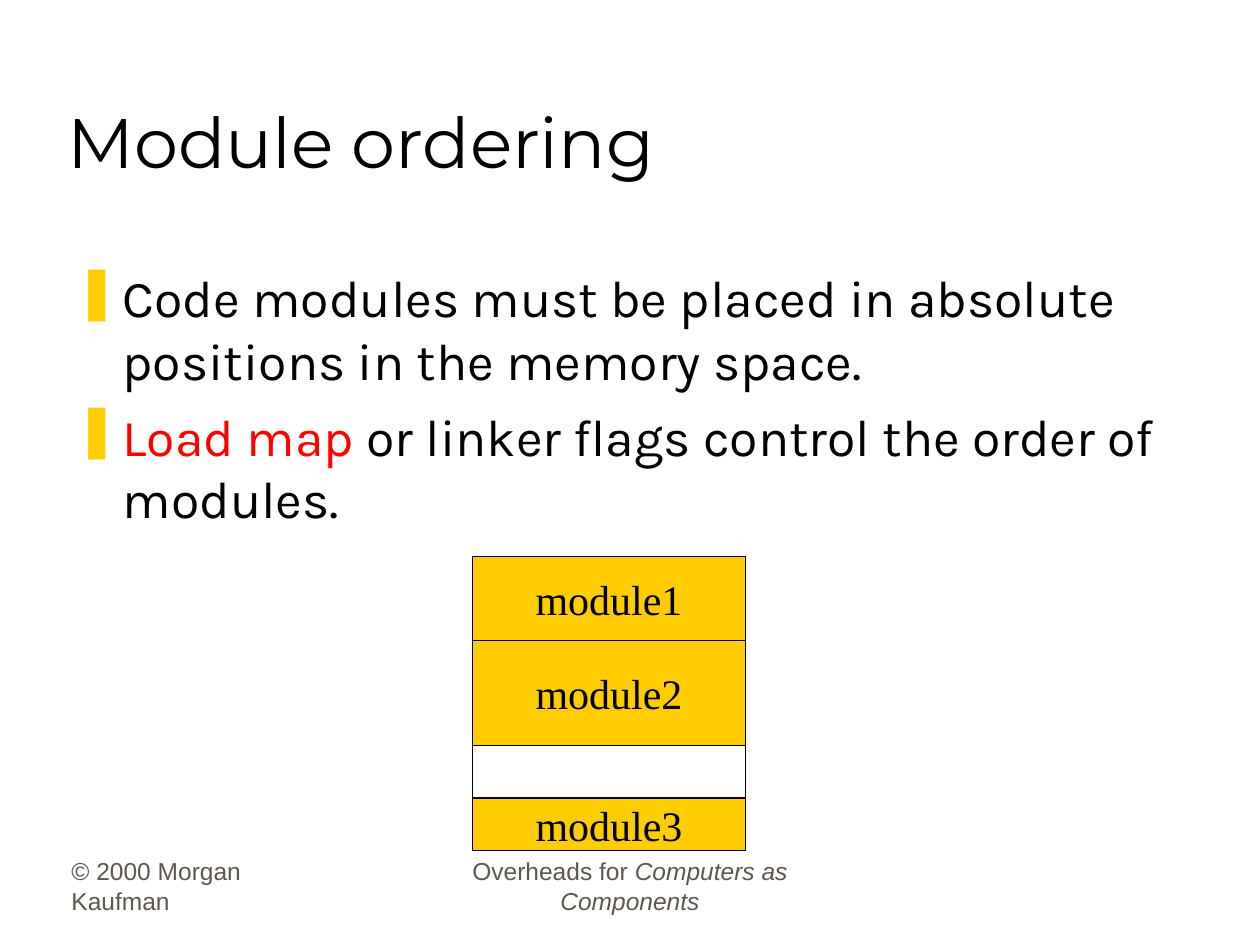
from lxml import etree
from pptx import Presentation
from pptx.dml.color import RGBColor
from pptx.enum.shapes import MSO_SHAPE
from pptx.enum.text import MSO_ANCHOR, PP_ALIGN
from pptx.oxml.ns import qn
from pptx.util import Emu, Pt

RECTANGLE = MSO_SHAPE.RECTANGLE
TOP, MIDDLE, BOTTOM = MSO_ANCHOR.TOP, MSO_ANCHOR.MIDDLE, MSO_ANCHOR.BOTTOM
LEFT, CENTER = PP_ALIGN.LEFT, PP_ALIGN.CENTER

PX = 9525
PAGE_SIZE = (960, 720)
COLORS = {"ink": "000000", "gold": "FFCC00", "red": "FF0000", "footer": "5E574E"}

TITLE = [[("Module ordering", "ink", False)]]
BULLETS = [
    [("Code modules must be placed in absolute positions in the memory space.", "ink", False)],
    [("Load map", "red", False),
     (" or linker flags control the order of modules.", "ink", False)],
]
COPYRIGHT = [[("© 2000 Morgan Kaufman", "footer", False)]]
BOOK = [[("Overheads for ", "footer", False), ("Computers as Components", "footer", True)]]

TEXT_BOXES = [
    (COPYRIGHT, (45, 654, 200, 48), "Arial", 14, LEFT, BOTTOM, False),
    (BOOK, (328, 654, 304, 48), "Arial", 14, CENTER, BOTTOM, False),
    (TITLE, (42, 24, 816, 120), "Montserrat", 40, LEFT, BOTTOM, False),
    (BULLETS, (48, 198, 858, 234), "Karla", 29.6, LEFT, TOP, True),
]

MEMORY_LEFT, MEMORY_TOP, MEMORY_WIDTH = 360, 424, 208
MEMORY = [("module1", 64), ("module2", 80), ("", 40), ("module3", 40)]
BULLET_INDENT = 36


def color(name):
    return RGBColor.from_string(COLORS[name])


def emu(lengths):
    return [Emu(length * PX) for length in lengths]


def add_bullet(para):
    props = para._p.get_or_add_pPr()
    props.set("marL", str(BULLET_INDENT * PX))
    props.set("indent", str(-BULLET_INDENT * PX))
    tint = etree.SubElement(props, qn("a:buClr"))
    etree.SubElement(tint, qn("a:srgbClr"), val=COLORS["gold"])
    etree.SubElement(props, qn("a:buChar"), char="❚")


def write(frame, paragraphs, font, size, align, anchor, bulleted=False):
    frame.vertical_anchor = anchor
    for index, runs in enumerate(paragraphs):
        para = frame.add_paragraph() if index else frame.paragraphs[0]
        para.alignment = align
        if bulleted:
            add_bullet(para)
        if index:
            para.space_before = Pt(8)
        for text, tint, italic in runs:
            run = para.add_run()
            run.text = text
            run.font.name = font
            run.font.size = Pt(size)
            run.font.italic = italic
            run.font.color.rgb = color(tint)


def add_memory_block(page, label, top, height):
    block = page.shapes.add_shape(
        RECTANGLE, *emu((MEMORY_LEFT, top, MEMORY_WIDTH, height)))
    block.shadow.inherit = False
    block.line.color.rgb = color("ink")
    block.line.width = Pt(0.75)
    if not label:
        block.fill.background()
        return
    block.fill.solid()
    block.fill.fore_color.rgb = color("gold")
    block.text_frame.word_wrap = False
    write(block.text_frame, [[(label, "ink", False)]], "Times New Roman", 24, CENTER, MIDDLE)


def main():
    deck = Presentation()
    deck.slide_width, deck.slide_height = emu(PAGE_SIZE)
    page = deck.slides.add_slide(deck.slide_layouts[6])
    for paragraphs, place, *style in TEXT_BOXES:
        box = page.shapes.add_textbox(*emu(place))
        box.text_frame.word_wrap = True
        write(box.text_frame, paragraphs, *style)
    top = MEMORY_TOP
    for label, height in MEMORY:
        add_memory_block(page, label, top, height)
        top += height
    deck.save("out.pptx")


if __name__ == "__main__":
    main()
